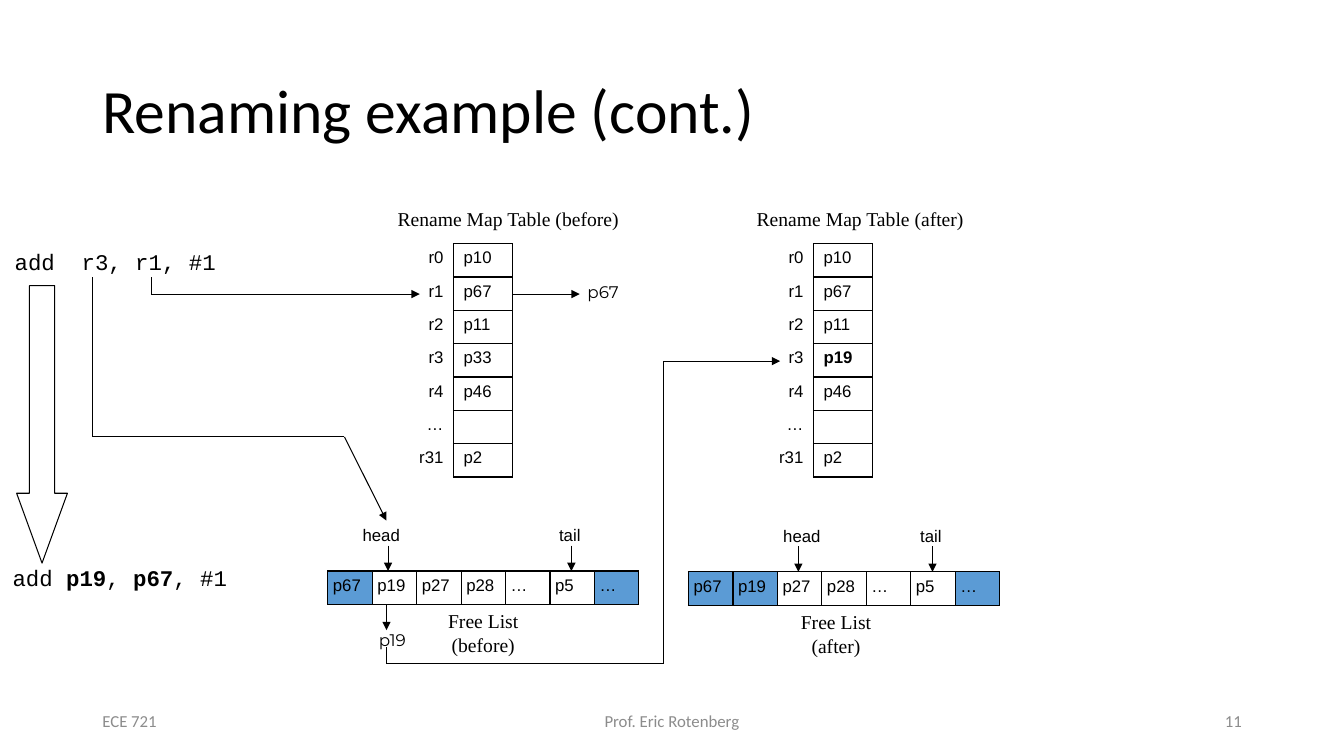
from lxml.etree import SubElement
from pptx import Presentation
from pptx.dml.color import RGBColor
from pptx.enum.shapes import MSO_CONNECTOR, MSO_SHAPE
from pptx.enum.text import MSO_ANCHOR, PP_ALIGN
from pptx.oxml.ns import qn
from pptx.util import Cm, Pt

HUES = {"ink": "000000", "grey": "8C8C8C", "used": "5B9BD5"}
PLAIN = "{2D5ABB26-0587-4C30-8999-92F81FD0307C}"  # no style, no grid
LEFT, MID, RIGHT = PP_ALIGN.LEFT, PP_ALIGN.CENTER, PP_ALIGN.RIGHT
ROW, COL, SLOT = 0.84, 1.48, 1.12
REGS = ["r0", "r1", "r2", "r3", "r4", "…", "r31"]


def hue(name):
    return RGBColor.from_string(HUES[name])


def write(para, text, size, font, align=LEFT, color="ink"):
    """Fill a paragraph; parts between asterisks are bold."""
    parts = text.split("*")
    if len(parts) == 1:
        para.text = text
    else:
        for i, part in enumerate(parts):
            if part:
                run = para.add_run()
                run.text = part
                run.font.bold = i % 2 == 1
    para.alignment = align
    para.font.size = Pt(size)
    para.font.name = font
    para.font.color.rgb = hue(color)


def note(slide, box, text, size=12, font="Arial", align=MID, color="ink",
         wrap=False, anchor=MSO_ANCHOR.TOP):
    frame = slide.shapes.add_textbox(*map(Cm, box)).text_frame
    frame.word_wrap = wrap
    frame.vertical_anchor = anchor
    write(frame.paragraphs[0], text, size, font, align, color)


def route(slide, *points):
    """Join the points with straight lines, with an arrowhead at the last."""
    for i, (start, end) in enumerate(zip(points, points[1:]), 2):
        line = slide.shapes.add_connector(
            MSO_CONNECTOR.STRAIGHT, *map(Cm, start + end))
        line.line.color.rgb = hue("ink")
        line.line.width = Pt(0.75)
        if i == len(points):
            SubElement(line.line._get_or_add_ln(), qn("a:tailEnd"),
                       type="triangle")
        SubElement(line._element.spPr, qn("a:effectLst"))


def grid(slide, x, y, rows, cols, wide):
    shape = slide.shapes.add_table(
        rows, cols, Cm(x), Cm(y), Cm(wide * cols), Cm(ROW * rows))
    table = shape.table
    table.first_row = table.horz_banding = False
    table._tbl.tblPr.find(qn("a:tableStyleId")).text = PLAIN
    for row in table.rows:
        row.height = Cm(ROW)
    for col in table.columns:
        col.width = Cm(wide)
    return table


def edge(cell, sides="LRTB"):
    props = cell._tc.get_or_add_tcPr()
    for i, side in enumerate(sides):
        line = props.makeelement(qn(f"a:ln{side}"), {"w": str(Pt(1))})
        fill = SubElement(line, qn("a:solidFill"))
        SubElement(fill, qn("a:srgbClr"), val=HUES["ink"])
        props.insert(i, line)


def rename_map(slide, x, y, when, regs, mid):
    note(slide, (x + mid - 4, y - 1.06, 8, 0.84),
         f"Rename Map Table ({when})", 14, "Times New Roman")
    table = grid(slide, x, y, len(REGS), 2, COL)
    for i, (reg, phys) in enumerate(zip(REGS, regs)):
        name, value = table.cell(i, 0), table.cell(i, 1)
        write(name.text_frame.paragraphs[0], reg, 12, "Arial", RIGHT)
        write(value.text_frame.paragraphs[0], phys, 12, "Arial")
        name.fill.background()
        value.fill.background()
        edge(name, "R")
        edge(value)


def free_list(slide, x, y, when, used, marks, mid):
    """Draw the list; marks give label, label centre and arrow offset."""
    slots = ["p67", "p19", "p27", "p28", "…", "p5", "…"]
    table = grid(slide, x, y, 1, len(slots), SLOT)
    for i, slot in enumerate(slots):
        cell = table.cell(0, i)
        cell.margin_left = cell.margin_right = Cm(0.13)
        write(cell.text_frame.paragraphs[0], slot, 12, "Arial")
        if i in used:
            cell.fill.solid()
            cell.fill.fore_color.rgb = hue("used")
        else:
            cell.fill.background()
        edge(cell)
    for label, spot, tip in marks:
        note(slide, (x + spot - 1, y - 1.28, 2, 0.76), label)
        route(slide, (x + tip, y - 0.64), (x + tip, y))
    note(slide, (x + mid - 1.6, y + ROW, 3.2, 1.4),
         f"Free List ({when})", 14, "Times New Roman", wrap=True)


def code(slide, x, y):
    """Show the instruction, the block arrow and the renamed instruction."""
    note(slide, (x, y, 5.61, 0.94), "add  r3, r1, #1", 16, "Courier New")
    note(slide, (x - 0.05, y + 7.96, 5.94, 0.94),
         "add *p19*, *p67*, #1", 16, "Courier New")
    arrow = slide.shapes.add_shape(
        MSO_SHAPE.DOWN_ARROW, Cm(x + 0.32), Cm(y + 1.06), Cm(1.28), Cm(6.99))
    arrow.adjustments[0], arrow.adjustments[1] = 0.5, 1.375
    arrow.shadow.inherit = False
    arrow.fill.background()
    arrow.line.color.rgb = hue("ink")
    arrow.line.width = Pt(0.75)


def flow(slide):
    """Trace the register lookups and the new mapping."""
    route(slide, (3.81, 6.98), (3.81, 7.41), (10.58, 7.41))
    route(slide, (12.91, 7.41), (14.61, 7.41))
    route(slide, (2.33, 6.98), (2.33, 11.01), (8.68, 11.01), (9.74, 13.12))
    route(slide, (9.74, 15.24), (9.74, 15.88))
    route(slide, (9.74, 16.3), (9.74, 16.72), (16.72, 16.72),
          (16.72, 9.1), (19.66, 9.1))
    for x, y, reg in ((14.2, 6.98, "p67"), (8.89, 15.75, "p19")):
        note(slide, (x, y, 2, 0.76), reg, 12, "Montserrat")


def heading(slide, x, y, w, h):
    title = slide.shapes.title
    title.left, title.top, title.width, title.height = map(Cm, (x, y, w, h))
    frame = title.text_frame
    frame.vertical_anchor = MSO_ANCHOR.MIDDLE
    para = frame.paragraphs[0]
    write(para, "Renaming example (cont.)", 44, "Calibri")
    para.line_spacing = 0.9


def footer(slide, y):
    for x, w, text, align in ((2.33, 7.62, "ECE 721", LEFT),
                              (11.22, 11.43, "Prof. Eric Rotenberg", MID),
                              (23.93, 7.62, "11", RIGHT)):
        note(slide, (x, y, w, 1.01), text, 12, "Calibri", align, "grey",
             True, MSO_ANCHOR.MIDDLE)


def main():
    deck = Presentation()
    deck.slide_width, deck.slide_height = Cm(33.87), Cm(19.05)
    slide = deck.slides.add_slide(deck.slide_layouts[5])
    heading(slide, 2.33, 1.01, 29.21, 3.68)
    footer(slide, 17.65)
    for x, when, new, mid in ((9.95, "before", "p33", 2.86),
                              (19.02, "after", "*p19*", 2.66)):
        regs = ["p10", "p67", "p11", new, "p46", "", "p2"]
        rename_map(slide, x, 6.14, when, regs, mid)
    free_list(slide, 8.26, 14.39, "before", (0, 6),
              (("head", 1.35, 1.52), ("tail", 6.1, 6.14)), 3.92)
    free_list(slide, 17.35, 14.41, "after", (0, 1, 6),
              (("head", 2.86, 2.77), ("tail", 6.11, 6.15)), 3.72)
    code(slide, 0.1, 6.14)
    flow(slide)
    deck.save("out.pptx")


if __name__ == "__main__":
    main()
